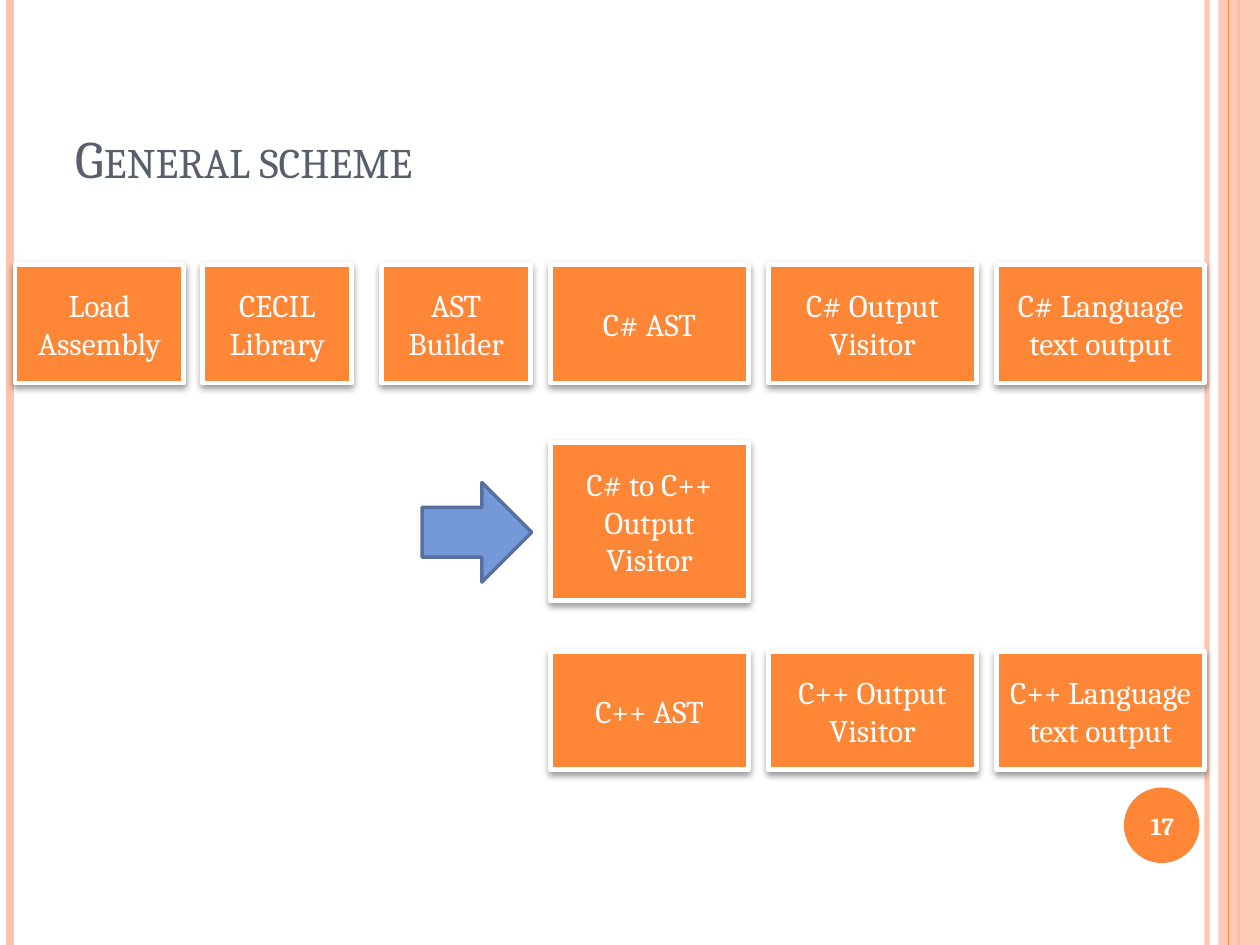
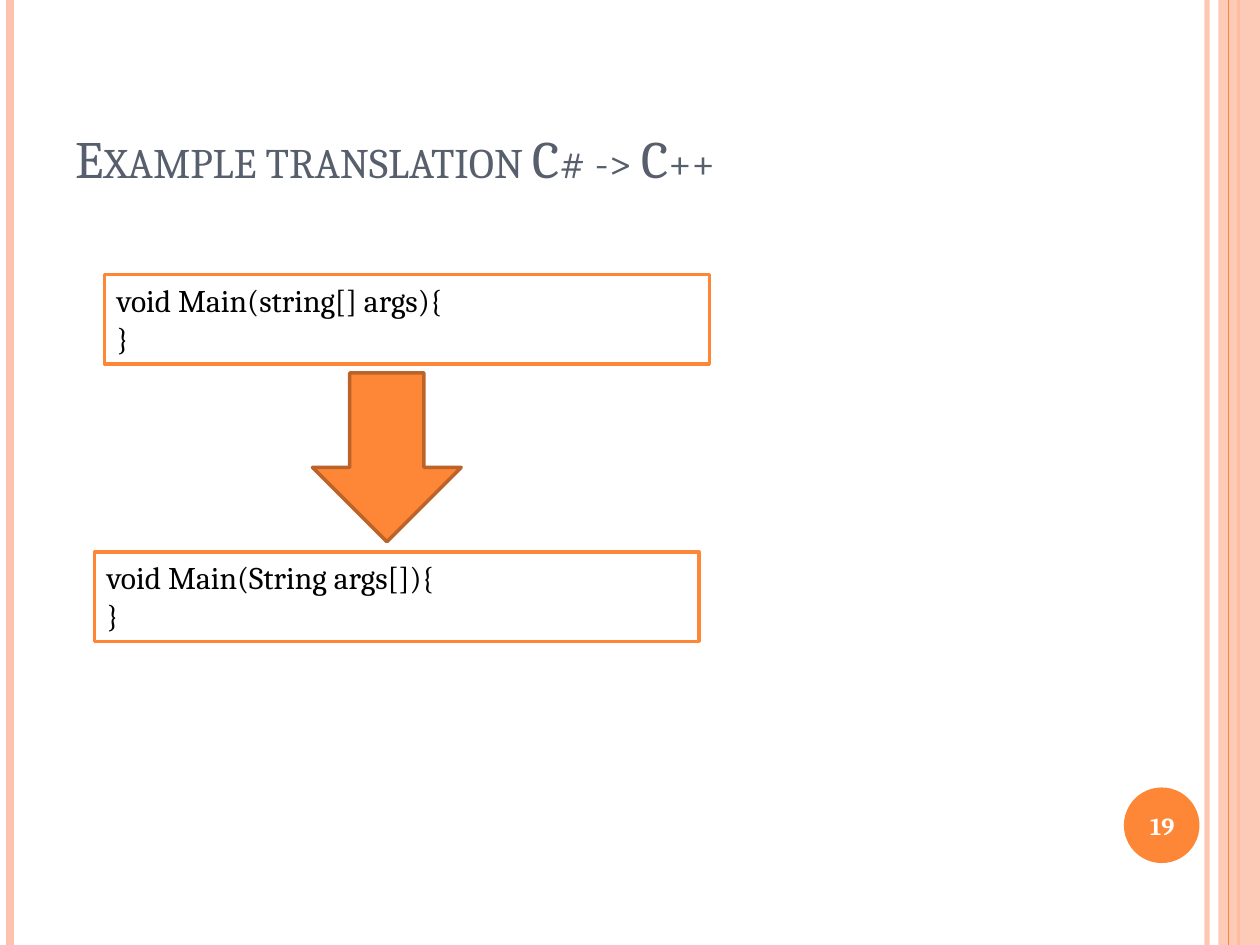
"""Build two slides on translating C# to C++: the general scheme and an example."""
import dataclasses

import lxml.etree
import pptx
import pptx.dml.color
import pptx.enum.shapes
import pptx.enum.text
import pptx.oxml.ns
import pptx.util

Inches = pptx.util.Inches
Pt = pptx.util.Pt
qn = pptx.oxml.ns.qn
Shapes = pptx.enum.shapes.MSO_SHAPE
Align = pptx.enum.text.PP_ALIGN
Anchor = pptx.enum.text.MSO_ANCHOR
AutoSize = pptx.enum.text.MSO_AUTO_SIZE


@dataclasses.dataclass(frozen=True)
class Theme:
    font: str = "Cambria"
    accent: str = "FE8637"
    accent_dark: str = "BC6329"
    pale: str = "FEC3AE"
    blue: str = "7598D9"
    blue_dark: str = "5770A1"
    title: str = "575F6D"
    white: str = "FFFFFF"
    black: str = "000000"
    title_size: int = 30
    body_size: int = 18
    number_size: int = 14
    outline: float = 2
    box_outline: float = 2.75


def rgb(color):
    return pptx.dml.color.RGBColor.from_string(color)


def set_alpha(parent, percent):
    for color in parent.iter(qn("a:srgbClr")):
        lxml.etree.SubElement(color, qn("a:alpha"), val=str(percent * 1000))


class Deck:
    def __init__(self, theme):
        self.theme = theme
        self.presentation = pptx.Presentation()
        self.presentation.slide_width = Inches(10)
        self.presentation.slide_height = Inches(7.5)
        self.slide = None

    def add_slide(self, title, number):
        theme = self.theme
        layout = self.presentation.slide_layouts[5]
        self.slide = self.presentation.slides.add_slide(layout)
        self.frame(number)
        shape = self.slide.shapes.title
        shape.left, shape.top = Inches(0.5), Inches(0.3)
        shape.width, shape.height = Inches(8.17), Inches(1.25)
        self.add_text(shape, [title], theme.title_size, theme.title,
                      Align.LEFT, Anchor.BOTTOM, small_caps=True)

    def frame(self, number):
        theme = self.theme
        self.vertical_line(9.58, theme.pale, 3, alpha=93)
        self.vertical_line(0.08, theme.pale, 4.5)
        self.vertical_line(9.83, theme.accent, 1.5)
        band = self.shape(Shapes.RECTANGLE, (9.67, 0, 0.33, 7.5), theme.pale)
        set_alpha(band._element.spPr, 87)
        self.vertical_line(9.75, theme.accent, 0.75)
        self.shape(Shapes.OVAL, (8.92, 6.25, 0.6, 0.6), theme.accent)
        label = self.slide.shapes.add_textbox(*map(Inches, (8.89, 6.27, 0.67, 0.57)))
        self.add_text(label, [number], theme.number_size, theme.white, bold=True)

    def vertical_line(self, x, color, width, alpha=None):
        connector = self.slide.shapes.add_connector(
            pptx.enum.shapes.MSO_CONNECTOR.STRAIGHT,
            Inches(x), Inches(0), Inches(x), Inches(7.5))
        connector.line.color.rgb = rgb(color)
        connector.line.width = Pt(width)
        properties = connector._element.spPr
        if alpha:
            set_alpha(properties, alpha)
        lxml.etree.SubElement(properties, qn("a:effectLst"))

    def shape(self, kind, bounds, fill, line=None, width=None):
        shape = self.slide.shapes.add_shape(kind, *map(Inches, bounds))
        shape.shadow.inherit = False
        shape.fill.solid()
        shape.fill.fore_color.rgb = rgb(fill)
        if line:
            shape.line.color.rgb = rgb(line)
            shape.line.width = Pt(width or self.theme.outline)
        else:
            shape.line.fill.background()
        return shape

    def add_text(self, shape, lines, size, color, align=Align.CENTER,
                 anchor=Anchor.MIDDLE, bold=False, small_caps=False,
                 auto_size=AutoSize.NONE):
        frame = shape.text_frame
        frame.word_wrap = True
        frame.auto_size = auto_size
        frame.vertical_anchor = anchor
        for index, line in enumerate(lines):
            paragraph = frame.add_paragraph() if index else frame.paragraphs[0]
            paragraph.alignment = align
            run = paragraph.add_run()
            run.text = line
            run.font.name = self.theme.font
            run.font.size = Pt(size)
            run.font.bold = bold
            run.font.color.rgb = rgb(color)
            if small_caps:
                run.font._element.set("cap", "small")

    def step(self, text, bounds):
        theme = self.theme
        shape = self.shape(Shapes.RECTANGLE, bounds, theme.accent,
                           theme.white, theme.box_outline)
        effects = shape._element.spPr.find(qn("a:effectLst"))
        shadow = lxml.etree.SubElement(
            effects, qn("a:outerShdw"), blurRad=str(Pt(4)), dist=str(Pt(2)),
            dir="5400000", rotWithShape="0")
        lxml.etree.SubElement(shadow, qn("a:srgbClr"), val=theme.black)
        set_alpha(shadow, 40)
        self.add_text(shape, [text], theme.body_size, theme.white)

    def code(self, lines, left, top):
        theme = self.theme
        shape = self.shape(Shapes.RECTANGLE, (left, top, 4.8, 0.71),
                           theme.white, theme.accent)
        self.add_text(shape, lines, theme.body_size, theme.black, Align.LEFT,
                      Anchor.TOP, auto_size=AutoSize.SHAPE_TO_FIT_TEXT)


def build_scheme(deck):
    deck.add_slide("General scheme", "17")
    columns = [(0.12, 1.34), (1.61, 1.18), (3.03, 1.18),
               (4.37, 1.57), (6.1, 1.65), (7.91, 1.65)]
    ast_column = 3
    rows = [
        (2.1, 0.94, 0, ["Load Assembly", "CECIL Library", "AST Builder", "C# AST",
                        "C# Output Visitor", "C# Language text output"]),
        (3.51, 1.26, ast_column, ["C# to C++ Output Visitor"]),
        (5.17, 0.94, ast_column, ["C++ AST", "C++ Output Visitor",
                                  "C++ Language text output"]),
    ]
    for top, height, first, steps in rows:
        for (left, width), text in zip(columns[first:], steps):
            deck.step(text, (left, top, width, height))
    deck.shape(Shapes.RIGHT_ARROW, (3.35, 3.83, 0.87, 0.79),
               deck.theme.blue, deck.theme.blue_dark)


def build_example(deck):
    deck.add_slide("Example translation C# -> C++", "19")
    deck.code(["void Main(string[] args){", "}"], 0.83, 2.18)
    deck.code(["void Main(String args[]){", "}"], 0.75, 4.38)
    deck.shape(Shapes.DOWN_ARROW, (2.48, 2.96, 1.18, 1.34),
               deck.theme.accent, deck.theme.accent_dark)


def main():
    deck = Deck(Theme())
    build_scheme(deck)
    build_example(deck)
    deck.presentation.save("out.pptx")


if __name__ == "__main__":
    main()
